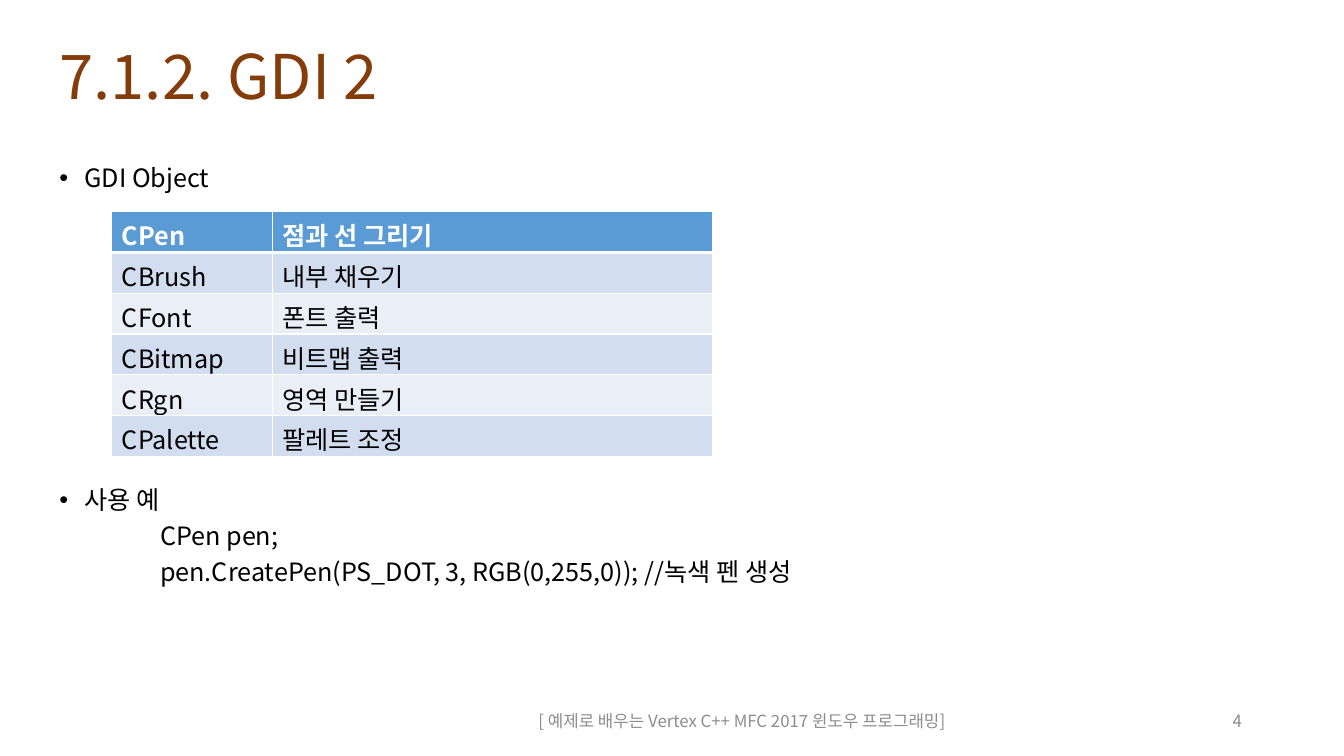
from lxml.etree import SubElement
from pptx import Presentation
from pptx.dml.color import RGBColor
from pptx.enum.text import MSO_ANCHOR, MSO_AUTO_SIZE, PP_ALIGN
from pptx.oxml.ns import qn
from pptx.util import Pt

FONT = "Noto Sans CJK KR"
COLORS = {
    "title": "843C0B", "text": "000000", "footer": "8C8C8C", "white": "FFFFFF",
    "header": "5B9BD5", "dark_band": "D2DEEF", "light_band": "EAEFF7",
}
GDI_OBJECTS = [
    ("CPen", "점과 선 그리기"),
    ("CBrush", "내부 채우기"),
    ("CFont", "폰트 출력"),
    ("CBitmap", "비트맵 출력"),
    ("CRgn", "영역 만들기"),
    ("CPalette", "팔레트 조정"),
]
BODY_LINES = [
    ("GDI Object", True, 0),
    ("사용 예", True, 210.8),
    ("CPen pen;", False, 6.3),
    ("pen.CreatePen(PS_DOT, 3, RGB(0,255,0)); //녹색 펜 생성", False, 6.3),
]


def add_span(para, text, size, color, bold=False):
    """Add one formatted run to a paragraph."""
    span = para.add_run()
    span.text = text
    span.font.size = Pt(size)
    span.font.bold = bold
    span.font.name = FONT
    span.font.color.rgb = RGBColor.from_string(COLORS[color])
    SubElement(span.font._element, qn("a:ea")).set("typeface", FONT)


def place(shape, box):
    """Move a shape to a box of left, top, width and height in points."""
    shape.left, shape.top, shape.width, shape.height = map(Pt, box)


def add_text_frame(page, box, anchor):
    """Add a wrapping text box and return its frame."""
    frame = page.shapes.add_textbox(*map(Pt, box)).text_frame
    frame.word_wrap = True
    frame.vertical_anchor = anchor
    return frame


def set_indent(para, bulleted):
    """Indent a paragraph as a bullet or as a line of code."""
    props = para._p.get_or_add_pPr()
    props.set("marL", str(Pt(18 if bulleted else 72)))
    props.set("indent", str(Pt(-18 if bulleted else 0)))
    if bulleted:
        SubElement(props, qn("a:buFont")).set("typeface", "Arial")
        SubElement(props, qn("a:buChar")).set("char", "•")
    else:
        SubElement(props, qn("a:buNone"))


def add_title(page, box, text):
    """Fill and format the title placeholder."""
    title = page.shapes.title
    place(title, box)
    frame = title.text_frame
    frame.auto_size = MSO_AUTO_SIZE.NONE
    frame.vertical_anchor = MSO_ANCHOR.MIDDLE
    para = frame.paragraphs[0]
    para.alignment = PP_ALIGN.LEFT
    para.line_spacing = 0.9
    add_span(para, text, 44, "title")


def add_body(page, box):
    """Add the bullets and code lines, leaving room for the table."""
    frame = add_text_frame(page, box, MSO_ANCHOR.TOP)
    for index, (text, bulleted, gap) in enumerate(BODY_LINES):
        para = frame.add_paragraph() if index else frame.paragraphs[0]
        para.line_spacing = 0.9
        para.space_before = Pt(gap)
        set_indent(para, bulleted)
        add_span(para, text, 18, "text")


def format_cell(cell, text, row):
    """Write a cell with its white borders and band colour."""
    is_header = row == 0
    add_span(cell.text_frame.paragraphs[0], text, 18,
             "white" if is_header else "text", is_header)
    props = cell._tc.get_or_add_tcPr()
    edges = {"lnL": 1, "lnR": 1, "lnT": 3 if row == 1 else 1, "lnB": 3 if is_header else 1}
    for edge, width in edges.items():
        line = SubElement(props, qn("a:" + edge), w=str(Pt(width)))
        fill = SubElement(line, qn("a:solidFill"))
        SubElement(fill, qn("a:srgbClr")).set("val", COLORS["white"])
    band = "header" if is_header else "dark_band" if row % 2 else "light_band"
    cell.fill.solid()
    cell.fill.fore_color.rgb = RGBColor.from_string(COLORS[band])


def add_object_table(page, box):
    """Add the table of GDI classes and their uses."""
    table = page.shapes.add_table(len(GDI_OBJECTS), 2, *map(Pt, box)).table
    table.columns[0].width = Pt(114.5)
    table.columns[1].width = Pt(box[2] - 114.5)
    for row, texts in enumerate(GDI_OBJECTS):
        for column, text in enumerate(texts):
            format_cell(table.cell(row, column), text, row)


def add_footer(page, box, text, alignment):
    """Add one grey footer text."""
    para = add_text_frame(page, box, MSO_ANCHOR.MIDDLE).paragraphs[0]
    para.alignment = alignment
    add_span(para, text, 12, "footer")


def build_slide(deck):
    """Build the GDI object slide."""
    page = deck.slides.add_slide(deck.slide_layouts[5])
    add_title(page, (35.3, 27.4, 676.8, 58.3), "7.1.2. GDI 2")
    add_body(page, (35.3, 114.5, 743.8, 361.5))
    add_object_table(page, (79.9, 151.2, 429.1, 175))
    add_footer(page, (318.2, 500.4, 423.4, 28.8),
               "[ 예제로 배우는 Vertex C++ MFC 2017 윈도우 프로그래밍]", PP_ALIGN.CENTER)
    add_footer(page, (678.2, 500.4, 216, 28.8), "4", PP_ALIGN.RIGHT)


deck = Presentation()
deck.slide_width, deck.slide_height = Pt(960), Pt(540)
build_slide(deck)
deck.save("out.pptx")
